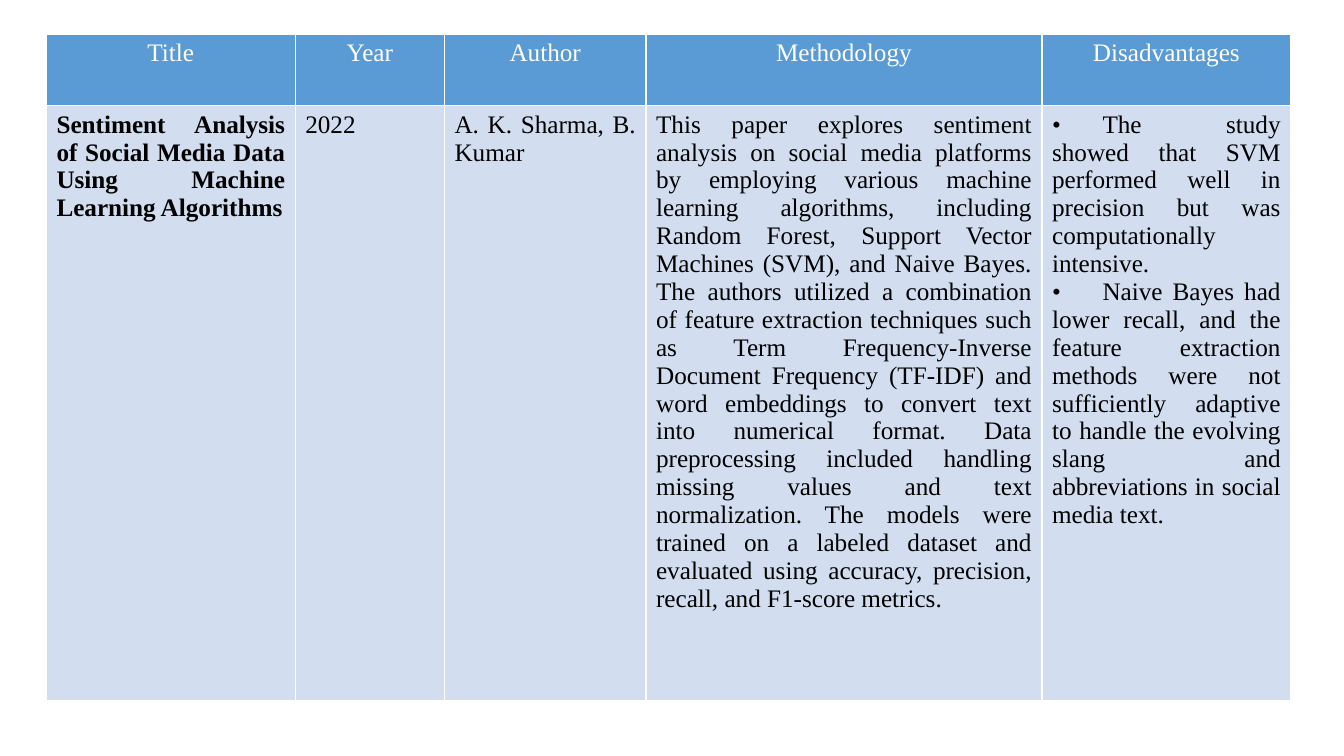
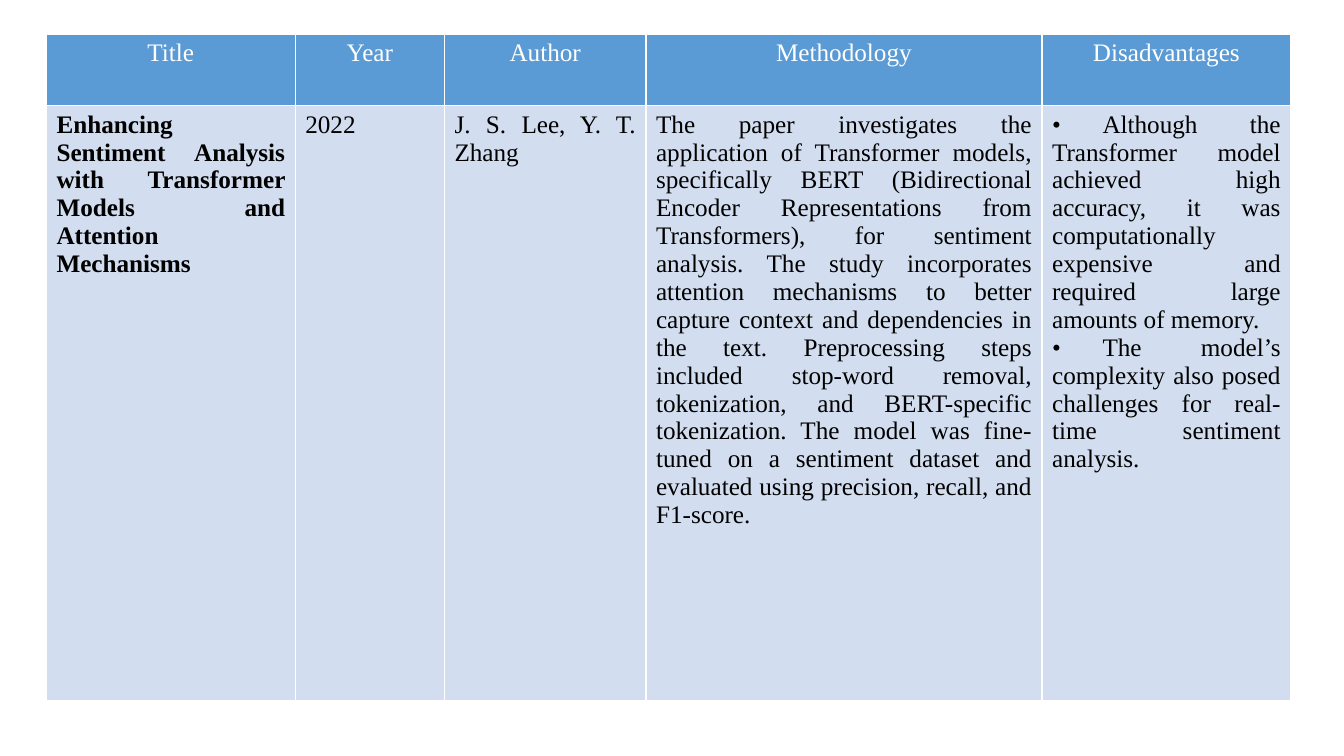
from lxml import etree
from pptx import Presentation
from pptx.dml.color import RGBColor
from pptx.enum import text
from pptx.oxml import ns
from pptx.util import Cm, Pt

COLORS = {"header": "5B9BD5", "body": "D2DEEF", "white": "FFFFFF", "black": "000000"}
FONT = {"name": "Times New Roman", "size": Pt(18)}
LEFT, TOP = Cm(1.17), Cm(0.86)
COL_WIDTHS = [Cm(w) for w in (6.27, 3.76, 5.08, 9.98, 6.27)]
ROW_HEIGHTS = [Cm(h) for h in (1.8, 14.99)]
HEADINGS = ["Title", "Year", "Author", "Methodology", "Disadvantages"]

PAPERS = [
    [
        "Sentiment Analysis of Social Media Data Using Machine Learning Algorithms",
        "2022",
        "A. K. Sharma, B. Kumar",
        "This paper explores sentiment analysis on social media platforms by employing "
        "various machine learning algorithms, including Random Forest, Support Vector "
        "Machines (SVM), and Naive Bayes. The authors utilized a combination of feature "
        "extraction techniques such as Term Frequency-Inverse Document Frequency (TF-IDF) "
        "and word embeddings to convert text into numerical format. Data preprocessing "
        "included handling missing values and text normalization. The models were trained "
        "on a labeled dataset and evaluated using accuracy, precision, recall, and "
        "F1-score metrics.",
        "•\tThe study showed that SVM performed well in precision but was "
        "computationally intensive.\n"
        "•\tNaive Bayes had lower recall, and the feature extraction methods were not "
        "sufficiently adaptive to handle the evolving slang and abbreviations in social "
        "media text.",
    ],
    [
        "Enhancing Sentiment Analysis with Transformer Models and Attention Mechanisms",
        "2022",
        "J. S. Lee, Y. T. Zhang",
        "The paper investigates the application of Transformer models, specifically BERT "
        "(Bidirectional Encoder Representations from Transformers), for sentiment "
        "analysis. The study incorporates attention mechanisms to better capture context "
        "and dependencies in the text. Preprocessing steps included stop-word removal, "
        "tokenization, and BERT-specific tokenization. The model was fine-tuned on a "
        "sentiment dataset and evaluated using precision, recall, and F1-score.",
        "•\tAlthough the Transformer model achieved high accuracy, it was "
        "computationally expensive and required large amounts of memory.\n"
        "•\tThe model’s complexity also posed challenges for real-time sentiment "
        "analysis.",
    ],
]


def fill_cell(cell, content, fill, color, align, bold=False):
    cell.fill.solid()
    cell.fill.fore_color.rgb = RGBColor.from_string(COLORS[fill])
    cell.text = content
    for p in cell.text_frame.paragraphs:
        p.alignment = align
        for r in p.runs:
            for key, value in {**FONT, "bold": bold}.items():
                setattr(r.font, key, value)
            r.font.color.rgb = RGBColor.from_string(COLORS[color])


def add_borders(cell):
    """Draw a 1 pt white line on all four sides."""
    tc_pr = cell._tc.get_or_add_tcPr()
    for i, side in enumerate(("lnL", "lnR", "lnT", "lnB")):
        ln = etree.Element(ns.qn(f"a:{side}"), w=str(Pt(1)))
        solid = etree.SubElement(ln, ns.qn("a:solidFill"))
        etree.SubElement(solid, ns.qn("a:srgbClr"), val=COLORS["white"])
        tc_pr.insert(i, ln)


prs = Presentation()
prs.slide_width, prs.slide_height = Cm(33.87), Cm(19.05)

for paper in PAPERS:
    s = prs.slides.add_slide(prs.slide_layouts[6])
    table = s.shapes.add_table(
        len(ROW_HEIGHTS), len(COL_WIDTHS), LEFT, TOP, sum(COL_WIDTHS), sum(ROW_HEIGHTS)
    ).table
    for row, height in zip(table.rows, ROW_HEIGHTS):
        row.height = height
    for i, width in enumerate(COL_WIDTHS):
        table.columns[i].width = width
        fill_cell(table.cell(0, i), HEADINGS[i], "header", "white", text.PP_ALIGN.CENTER)
        fill_cell(table.cell(1, i), paper[i], "body", "black", text.PP_ALIGN.JUSTIFY, bold=i == 0)
        add_borders(table.cell(1, i))

prs.save("out.pptx")
